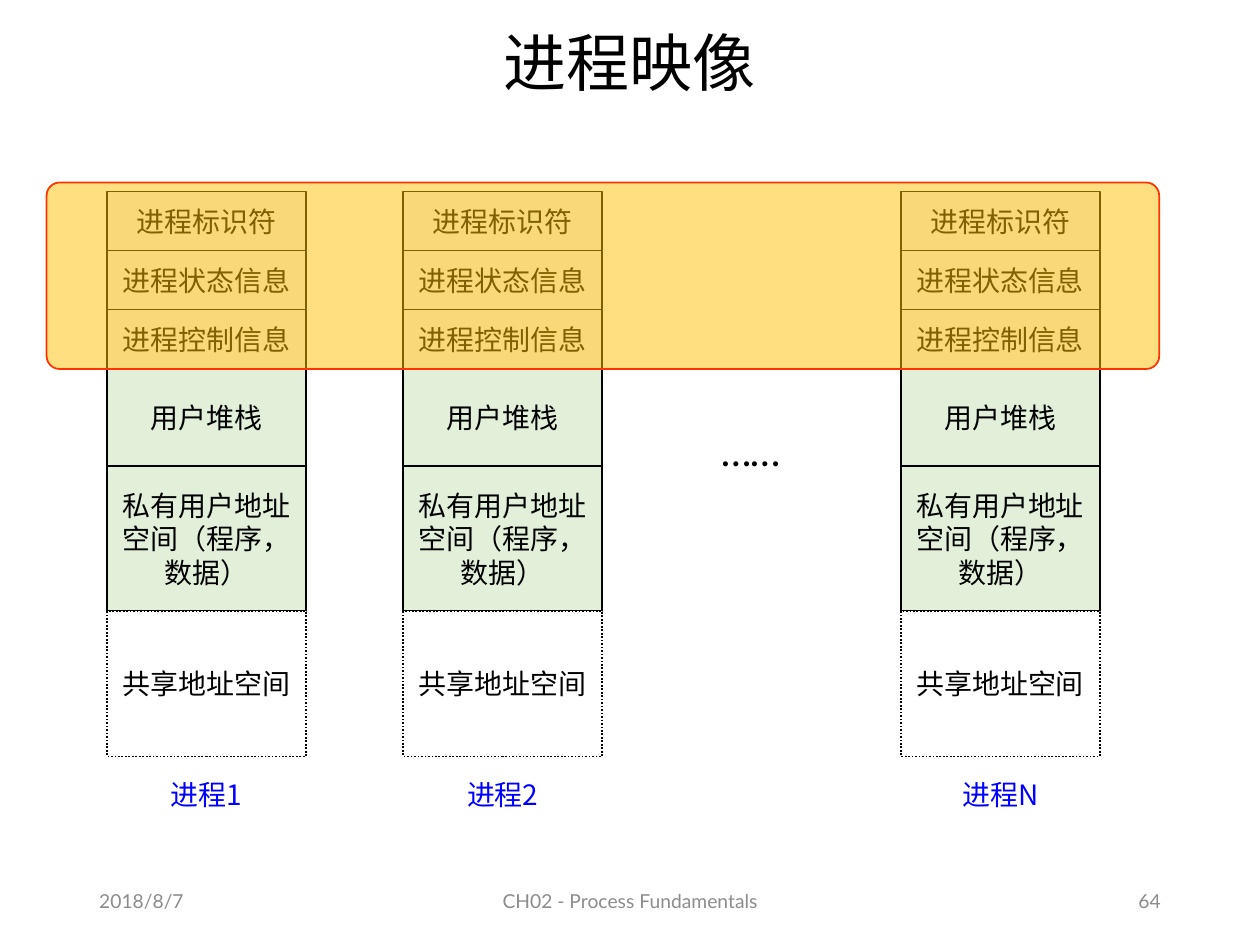
import lxml.etree
import pptx
import pptx.dml.color
import pptx.enum.dml
import pptx.enum.shapes
import pptx.enum.text
import pptx.oxml.ns
import pptx.util

Cm = pptx.util.Cm
Pt = pptx.util.Pt
ALIGN = pptx.enum.text.PP_ALIGN
ANCHOR = pptx.enum.text.MSO_ANCHOR
SHAPE = pptx.enum.shapes.MSO_SHAPE
CJK = "Noto Sans CJK SC"

COLORS = {
    "text": "000000",
    "footer": "8C8C8C",
    "label": "0000FF",
    "control": "F2F2F2",
    "user": "E2F0D9",
    "shared": "FFFFFF",
    "highlight": "FFC000",
    "highlight_line": "FF3300",
}

COLUMN_WIDTH = 4.01
COLUMN_TOP = 3.86
LABEL_WIDTH = 2.29
COLUMNS = [("进程1", 2.16), ("进程2", 8.13), ("进程N", 18.16)]
SECTIONS = [
    ("进程标识符", 1.19, "control"),
    ("进程状态信息", 1.19, "control"),
    ("进程控制信息", 1.19, "control"),
    ("用户堆栈", 1.96, "user"),
    ("私有用户地址空间（程序，数据）", 2.93, "user"),
    ("共享地址空间", 2.93, "shared"),
]
FOOTERS = [
    ("2018/8/7", 1.75, 5.72, ALIGN.LEFT),
    ("CH02 - Process Fundamentals", 8.41, 8.59, ALIGN.CENTER),
    ("64", 17.93, 5.72, ALIGN.RIGHT),
]


def rgb(name):
    return pptx.dml.color.RGBColor.from_string(COLORS[name])


def apply(target, values):
    for name, value in values.items():
        setattr(target, name, value)


class SlideBuilder:
    def __init__(self, page):
        self.page = page

    def fill_text(self, shape, text, size=16, font=CJK, color="text", align=ALIGN.CENTER):
        para = shape.text_frame.paragraphs[0]
        para.alignment = align
        span = para.add_run()
        span.text = text
        apply(span.font, {"size": Pt(size), "name": font, "bold": False})
        span.font.color.rgb = rgb(color)
        east_asian = lxml.etree.SubElement(span.font._element, pptx.oxml.ns.qn("a:ea"))
        east_asian.set("typeface", font)
        return para

    def title(self, text, left, top, width, height):
        title = self.page.shapes.title
        apply(title, {"left": Cm(left), "top": Cm(top), "width": Cm(width), "height": Cm(height)})
        apply(title.text_frame, {"vertical_anchor": ANCHOR.MIDDLE, "word_wrap": True})
        self.fill_text(title, text, size=36).line_spacing = 0.9

    def text(self, text, left, top, width, height, anchor=ANCHOR.TOP, wrap=True, **style):
        box = self.page.shapes.add_textbox(Cm(left), Cm(top), Cm(width), Cm(height))
        apply(box.text_frame, {"word_wrap": wrap, "vertical_anchor": anchor})
        self.fill_text(box, text, **style)

    def block(self, shapes, kind, left, top, width, height, fill, line="text"):
        block = shapes.add_shape(kind, Cm(left), Cm(top), Cm(width), Cm(height))
        block.shadow.inherit = False
        block.fill.solid()
        block.fill.fore_color.rgb = rgb(fill)
        block.line.color.rgb = rgb(line)
        block.line.width = Pt(1)
        return block

    def process(self, label, left):
        group = self.page.shapes.add_group_shape()
        top = COLUMN_TOP
        for text, height, kind in SECTIONS:
            block = self.block(group.shapes, SHAPE.RECTANGLE, left, top, COLUMN_WIDTH, height, kind)
            if kind == "shared":
                block.line.dash_style = pptx.enum.dml.MSO_LINE.ROUND_DOT
            apply(block.text_frame, {"word_wrap": True, "vertical_anchor": ANCHOR.MIDDLE})
            self.fill_text(block, text)
            top += height
        label_left = left + (COLUMN_WIDTH - LABEL_WIDTH) / 2
        self.text(label, label_left, 15.54, LABEL_WIDTH, 0.94, color="label")

    def highlight(self, left, top, width, height):
        frame = self.block(self.page.shapes, SHAPE.ROUNDED_RECTANGLE, left, top, width, height,
                           "highlight", "highlight_line")
        frame.adjustments[0] = 0.07
        color = frame._element.spPr.find(
            pptx.oxml.ns.qn("a:solidFill") + "/" + pptx.oxml.ns.qn("a:srgbClr"))
        lxml.etree.SubElement(color, pptx.oxml.ns.qn("a:alpha")).set("val", "50000")


def main():
    deck = pptx.Presentation()
    apply(deck, {"slide_width": Cm(25.4), "slide_height": Cm(19.05)})
    builder = SlideBuilder(deck.slides.add_slide(deck.slide_layouts[5]))
    builder.title("进程映像", 1.75, 0.36, 21.89, 1.93)
    for text, left, width, align in FOOTERS:
        builder.text(text, left, 17.65, width, 1.02, anchor=ANCHOR.MIDDLE,
                     size=11, font="Lato", color="footer", align=align)
    for label, left in COLUMNS:
        builder.process(label, left)
    builder.text("……", 14.3, 8.43, 1.7, 1.27, wrap=False, size=24, font="Calibri", align=ALIGN.LEFT)
    builder.highlight(0.94, 3.68, 22.43, 3.76)
    deck.save("out.pptx")


if __name__ == "__main__":
    main()
